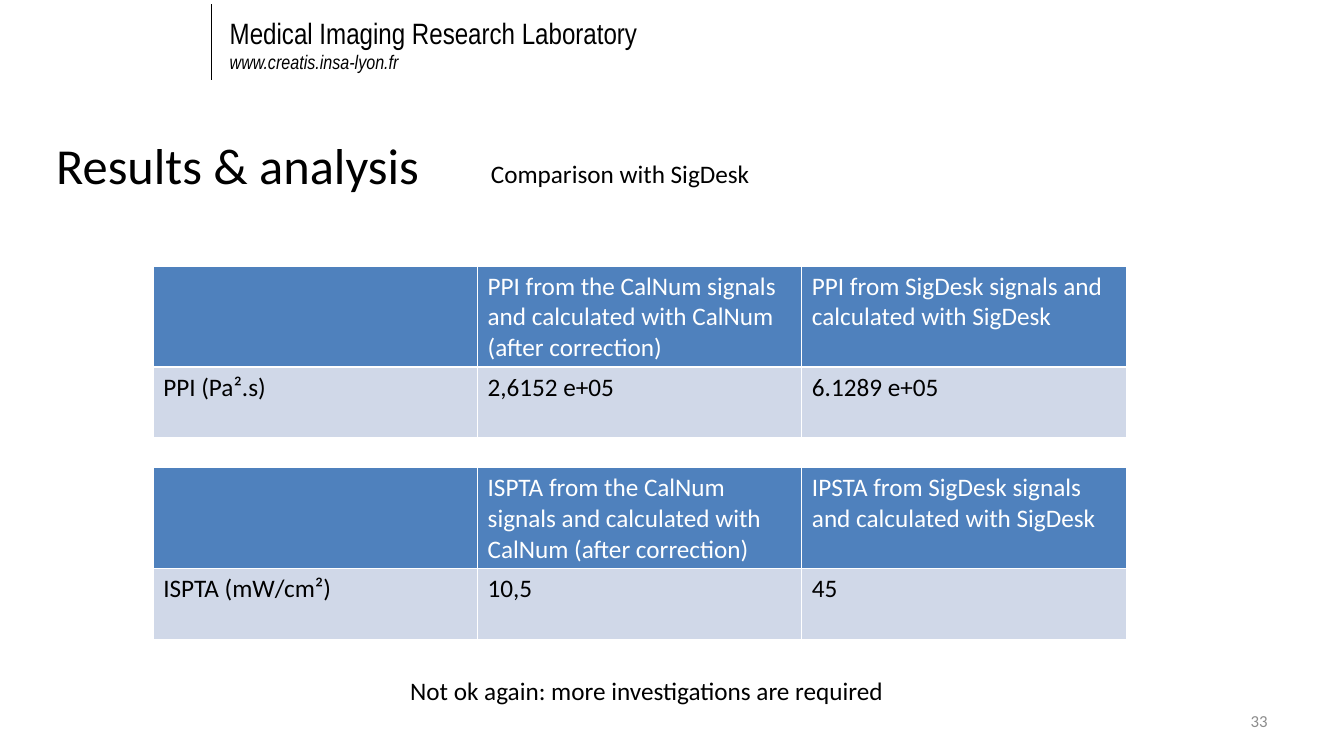
import pptx
import pptx.util
import pptx.dml.color
import pptx.enum.shapes
import pptx.enum.text
import pptx.oxml
import pptx.oxml.ns
from pptx.util import Inches

BLACK = pptx.dml.color.RGBColor(0x00, 0x00, 0x00)
WHITE = pptx.dml.color.RGBColor(0xFF, 0xFF, 0xFF)
GRAY = pptx.dml.color.RGBColor(0x8C, 0x8C, 0x8C)
BLUE = pptx.dml.color.RGBColor(0x4F, 0x81, 0xBD)
PALE = pptx.dml.color.RGBColor(0xD0, 0xD8, 0xE8)


def style(para, size, color=BLACK, face="Calibri", slant=False):
    """Format every run of a paragraph."""
    for run in para.runs:
        run.font.size = pptx.util.Pt(size)
        run.font.name = face
        run.font.italic = slant
        run.font.color.rgb = color


def label(slide, box, text, size, color=BLACK, wrap=True):
    """Place one text box and return its text frame."""
    frame = slide.shapes.add_textbox(*map(Inches, box)).text_frame
    frame.word_wrap = wrap
    frame.text = text
    for para in frame.paragraphs:
        style(para, size, color)
    return frame


def header(slide, box):
    """Draw the laboratory name with the rule on its left."""
    left, top, width, height = box
    rule = slide.shapes.add_connector(
        pptx.enum.shapes.MSO_CONNECTOR.STRAIGHT,
        Inches(left), Inches(top), Inches(left), Inches(top + height))
    rule.line.color.rgb = BLACK
    rule.line.width = pptx.util.Pt(1)
    props = rule.element.find(pptx.oxml.ns.qn("p:spPr"))
    props.append(pptx.oxml.parse_xml(
        f'<a:effectLst {pptx.oxml.ns.nsdecls("a")}/>'))
    frame = label(slide, (left + 0.08, top + 0.06, width - 0.08, 0.69),
                  "Medical Imaging Research Laboratory\nwww.creatis.insa-lyon.fr", 21)
    name, site = frame.paragraphs
    style(name, 21, face="Arial Narrow")
    style(site, 14, face="Arial Narrow", slant=True)


def heading(slide, box):
    """Place the title and the subtitle beside it."""
    left, top, width, height = box
    label(slide, box, "Results & analysis", 36)
    label(slide, (left + 4.31, top + 0.24, 2.88, 0.4),
          "Comparison with SigDesk", 18, wrap=False)


def border(cell):
    """Give a cell thin white borders on all sides."""
    props = cell._tc.get_or_add_tcPr()
    for spot, side in enumerate(("lnL", "lnR", "lnT", "lnB")):
        props.insert(spot, pptx.oxml.parse_xml(
            f'<a:{side} {pptx.oxml.ns.nsdecls("a")} w="12700"><a:solidFill>'
            f'<a:srgbClr val="{WHITE}"/></a:solidFill></a:{side}>'))


def grid(slide, box, rows):
    """Draw a table with a blue heading row and a pale value row."""
    table = slide.shapes.add_table(len(rows), len(rows[0]), *map(Inches, box)).table
    table.rows[0].height = Inches(1)
    table.rows[1].height = Inches(box[3] - 1)
    for r, row in enumerate(rows):
        fill, color = (PALE, BLACK) if r else (BLUE, WHITE)
        for c, text in enumerate(row):
            cell = table.cell(r, c)
            cell.fill.solid()
            cell.fill.fore_color.rgb = fill
            border(cell)
            cell.text = text
            style(cell.text_frame.paragraphs[0], 18, color)


def footer(slide, box):
    """Place the conclusion and the slide number."""
    left, top, width, height = box
    label(slide, (left, top, 4.95, 0.4),
          "Not ok again: more investigations are required", 18, wrap=False)
    page = label(slide, (left + width - 3.11, top + 0.3, 3.11, 0.4), "33", 12, GRAY)
    page.vertical_anchor = pptx.enum.text.MSO_ANCHOR.MIDDLE
    page.paragraphs[0].alignment = pptx.enum.text.PP_ALIGN.RIGHT


def main():
    """Build the slide and save it."""
    deck = pptx.Presentation()
    deck.slide_width = Inches(13.33)
    deck.slide_height = Inches(7.5)
    slide = deck.slides.add_slide(deck.slide_layouts[6])
    header(slide, (2.1, 0.04, 8.7, 0.75))
    heading(slide, (0.46, 1.28, 10.14, 0.71))
    tables = (
        ("PPI", "PPI", "PPI (Pa².s)", "2,6152 e+05", "6.1289 e+05"),
        ("ISPTA", "IPSTA", "ISPTA (mW/cm²)", "10,5", "45"),
    )
    for i, (first, second, *values) in enumerate(tables):
        heads = ("", f"{first} from the CalNum signals and calculated with CalNum (after correction)",
                 f"{second} from SigDesk signals and calculated with SigDesk")
        grid(slide, (1.52, 2.64 + 2 * i, 9.65, 1.7), (heads, values))
    footer(slide, (3.97, 6.65, 8.7, 0.7))
    deck.save("out.pptx")


if __name__ == "__main__":
    main()
